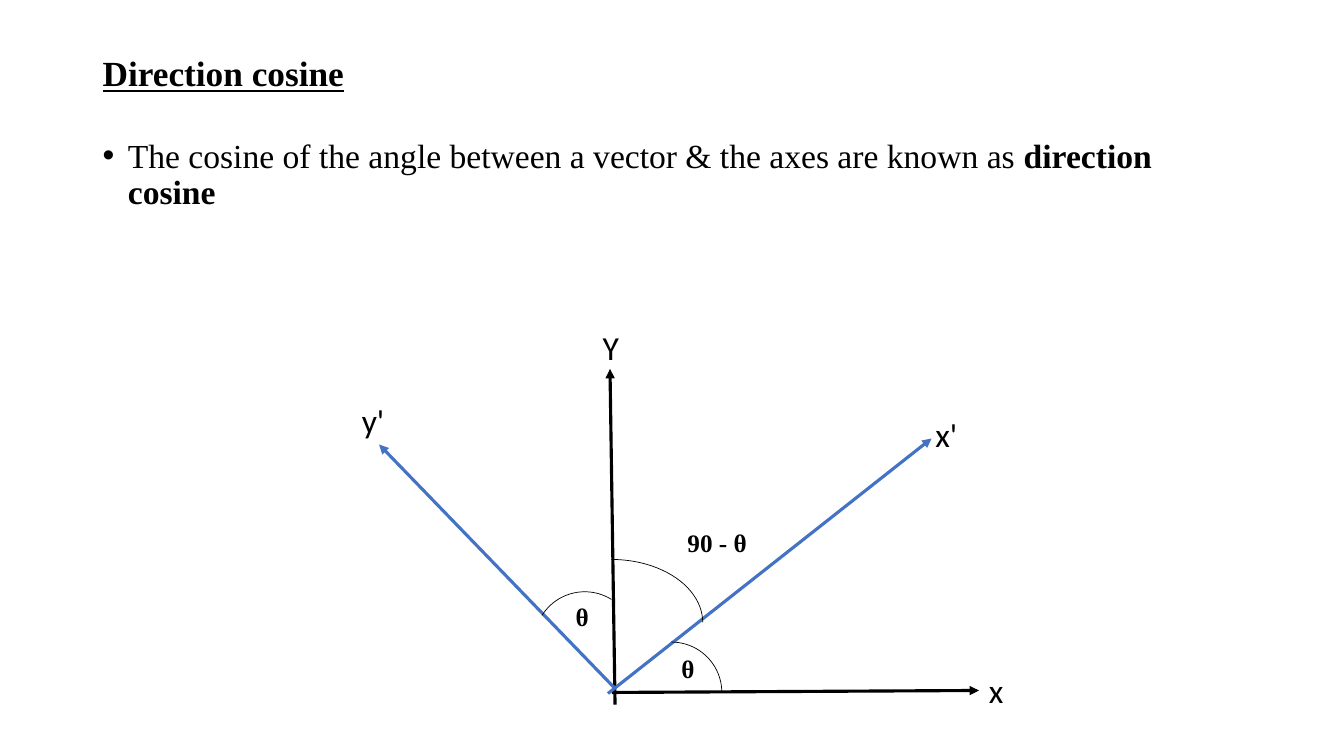
from lxml import etree
from pptx import Presentation
from pptx.dml.color import RGBColor
from pptx.enum.shapes import MSO_CONNECTOR, MSO_SHAPE
from pptx.enum.text import MSO_ANCHOR
from pptx.oxml.ns import qn
from pptx.util import Inches, Pt

SERIF = "Times New Roman"
BLACK = "000000"
BLUE = "4472C4"


def color(hex_value):
    return RGBColor.from_string(hex_value)


def add_text(left, top, width, height, runs, size, font):
    frame = slide.shapes.add_textbox(
        Inches(left), Inches(top), Inches(width), Inches(height)
    ).text_frame
    frame.word_wrap = True
    for text, bold in runs:
        run = frame.paragraphs[0].add_run()
        run.text = text
        run.font.name = font
        run.font.size = Pt(size)
        run.font.bold = bold
        run.font.color.rgb = color(BLACK)
    return frame


prs = Presentation()
prs.slide_width = Inches(13.33)
prs.slide_height = Inches(7.5)
slide = prs.slides.add_slide(prs.slide_layouts[6])

title = add_text(0.92, 0.4, 11.5, 0.7, [("Direction cosine", True)], 25.2, SERIF)
title.vertical_anchor = MSO_ANCHOR.MIDDLE
title.paragraphs[0].line_spacing = 0.9
title.paragraphs[0].runs[0].font.underline = True

definition = add_text(0.92, 1.33, 11.5, 5.99, [
    ("The cosine of the angle between a vector & the axes are known as ", False),
    ("direction cosine", True),
], 24, SERIF).paragraphs[0]
definition.line_spacing = 0.9
definition.space_before = Pt(10)
properties = definition._p.get_or_add_pPr()
properties.set("marL", str(Inches(0.25)))
properties.set("indent", str(-Inches(0.25)))
etree.SubElement(properties, qn("a:buFont"), typeface="Arial")
etree.SubElement(properties, qn("a:buChar"), char="•")

axes = [
    (6.07, 6.87, 9.71, 6.85, BLACK),
    (6.1, 6.99, 6.05, 3.66, BLACK),
    (6.03, 6.88, 9.24, 4.35, BLUE),
    (6.09, 6.82, 3.76, 4.41, BLUE),
]
for x1, y1, x2, y2, axis_color in axes:
    axis = slide.shapes.add_connector(
        MSO_CONNECTOR.STRAIGHT, Inches(x1), Inches(y1), Inches(x2), Inches(y2)
    )
    axis.line.color.rgb = color(axis_color)
    axis.line.width = Pt(2.25)
    etree.SubElement(axis.line._get_or_add_ln(), qn("a:tailEnd"), type="triangle")
    etree.SubElement(axis._element.spPr, qn("a:effectLst"))

angle_arcs = [
    (6.16, 6.37, 1, 1, 0),
    (5.16, 5.55, 1.81, 1.25, 0),
    (5.3, 5.87, 1, 1, 302),
]
for left, top, width, height, rotation in angle_arcs:
    arc = slide.shapes.add_shape(
        MSO_SHAPE.ARC, Inches(left), Inches(top), Inches(width), Inches(height)
    )
    arc.rotation = rotation
    arc.shadow.inherit = False
    arc.fill.background()
    arc.line.color.rgb = color(BLACK)
    arc.line.width = Pt(0.5)

axis_labels = [("x", 9.71, 6.6), ("Y", 5.88, 3.19), ("x'", 9.18, 4.06), ("y'", 3.49, 3.92)]
for label, left, top in axis_labels:
    add_text(left, top, 3, 0.5, [(label, False)], 24, "Calibri")

angle_labels = [("90 - θ", 6.72, 5.18), ("θ", 6.66, 6.43), ("θ", 5.61, 5.92)]
for label, left, top in angle_labels:
    add_text(left, top, 3, 0.4, [(label, True)], 18, SERIF)

prs.save("out.pptx")
